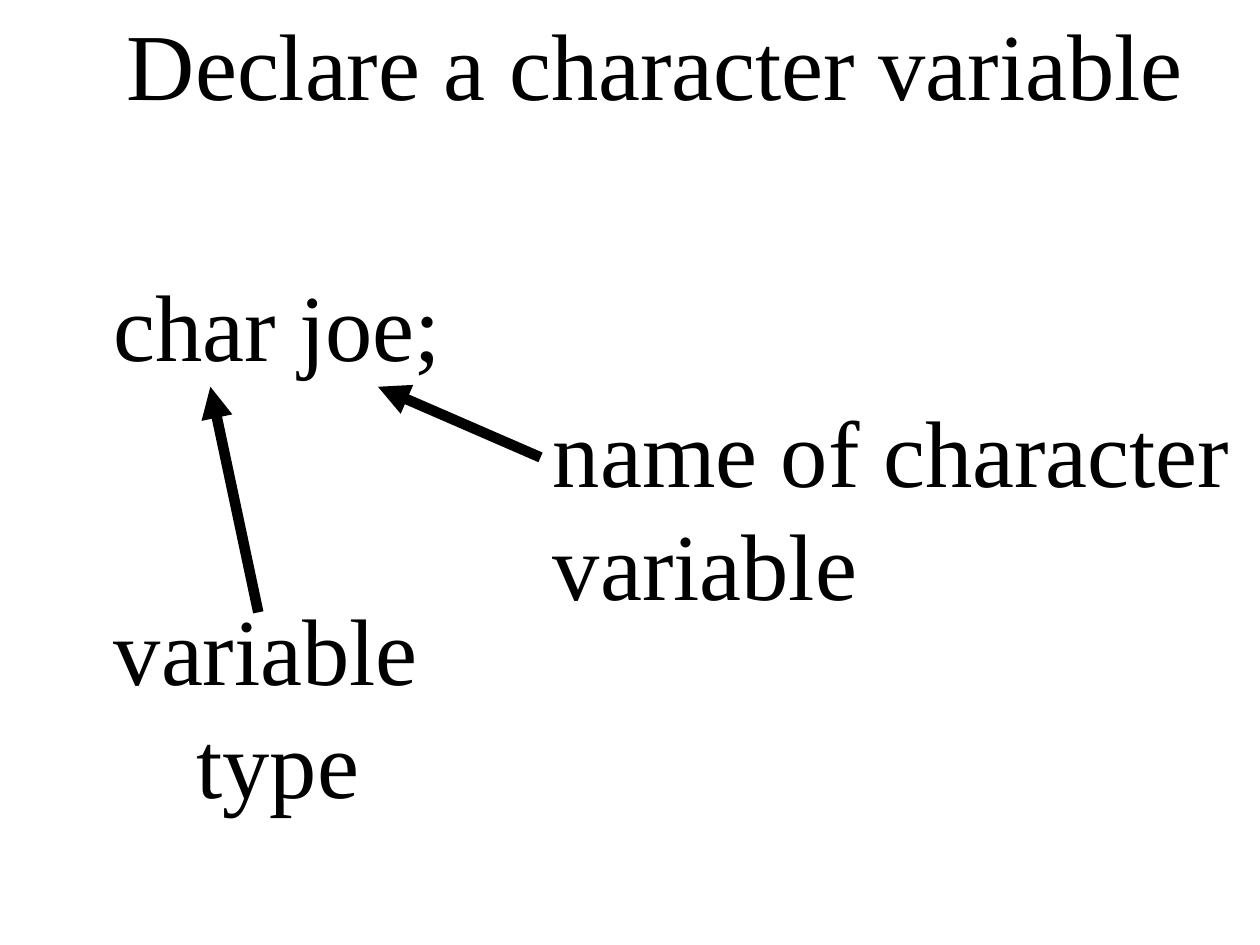
import pptx
import pptx.dml.color
import pptx.enum.shapes
import pptx.enum.text
import pptx.oxml
import pptx.util

SCALE = 9144  # EMU per px, 100 px to the inch
ALIGN = pptx.enum.text.PP_ALIGN


def px(n):
    return pptx.util.Emu(n * SCALE)


def color(hex_string):
    return pptx.dml.color.RGBColor.from_string(hex_string)


def write(p, text, *, size, font, fill, align=ALIGN.LEFT):
    p.alignment = align
    r = p.add_run()
    r.text = text
    r.font.size = pptx.util.Pt(size)
    r.font.name = font
    r.font.color.rgb = color(fill)


class Deck:
    font = "Times New Roman"
    size = 54
    ink = "000000"
    line_width = 6

    def __init__(self, width, height):
        self.prs = pptx.Presentation()
        self.prs.slide_width, self.prs.slide_height = px(width), px(height)

    def add_slide(self):
        self.s = self.prs.slides.add_slide(self.prs.slide_layouts[6])

    def text(self, left, top, width, height, lines, align=ALIGN.LEFT):
        sp = self.s.shapes.add_textbox(px(left), px(top), px(width), px(height))
        tf = sp.text_frame
        tf.word_wrap = True
        tf.auto_size = pptx.enum.text.MSO_AUTO_SIZE.SHAPE_TO_FIT_TEXT
        for i, line in enumerate(lines):
            p = tf.add_paragraph() if i else tf.paragraphs[0]
            write(p, line, size=self.size, font=self.font, fill=self.ink, align=align)

    def arrow(self, x1, y1, x2, y2):
        sp = self.s.shapes.add_connector(
            pptx.enum.shapes.MSO_CONNECTOR.STRAIGHT, px(x1), px(y1), px(x2), px(y2))
        sp.line.color.rgb = color(self.ink)
        sp.line.width = pptx.util.Pt(self.line_width)
        ns = pptx.oxml.ns.qn
        ln = sp.line._get_or_add_ln()
        ln.append(ln.makeelement(ns("a:tailEnd"), {"type": "triangle"}))
        ln.addnext(ln.makeelement(ns("a:effectLst"), {}))


def main():
    deck = Deck(1000, 750)
    deck.add_slide()

    # Title
    deck.text(91, 0, 860, 100, ["Declare a character variable"])

    # Declaration
    deck.text(80, 207, 281, 100, ["char joe;"])

    # Variable type label
    deck.arrow(205, 486, 167, 307)
    deck.text(80, 464, 281, 190, ["variable ", "type"], ALIGN.CENTER)

    # Variable name label
    deck.arrow(429, 363, 300, 307)
    deck.text(429, 307, 558, 190, ["name of character", "variable"])

    deck.prs.save("out.pptx")


if __name__ == "__main__":
    main()
